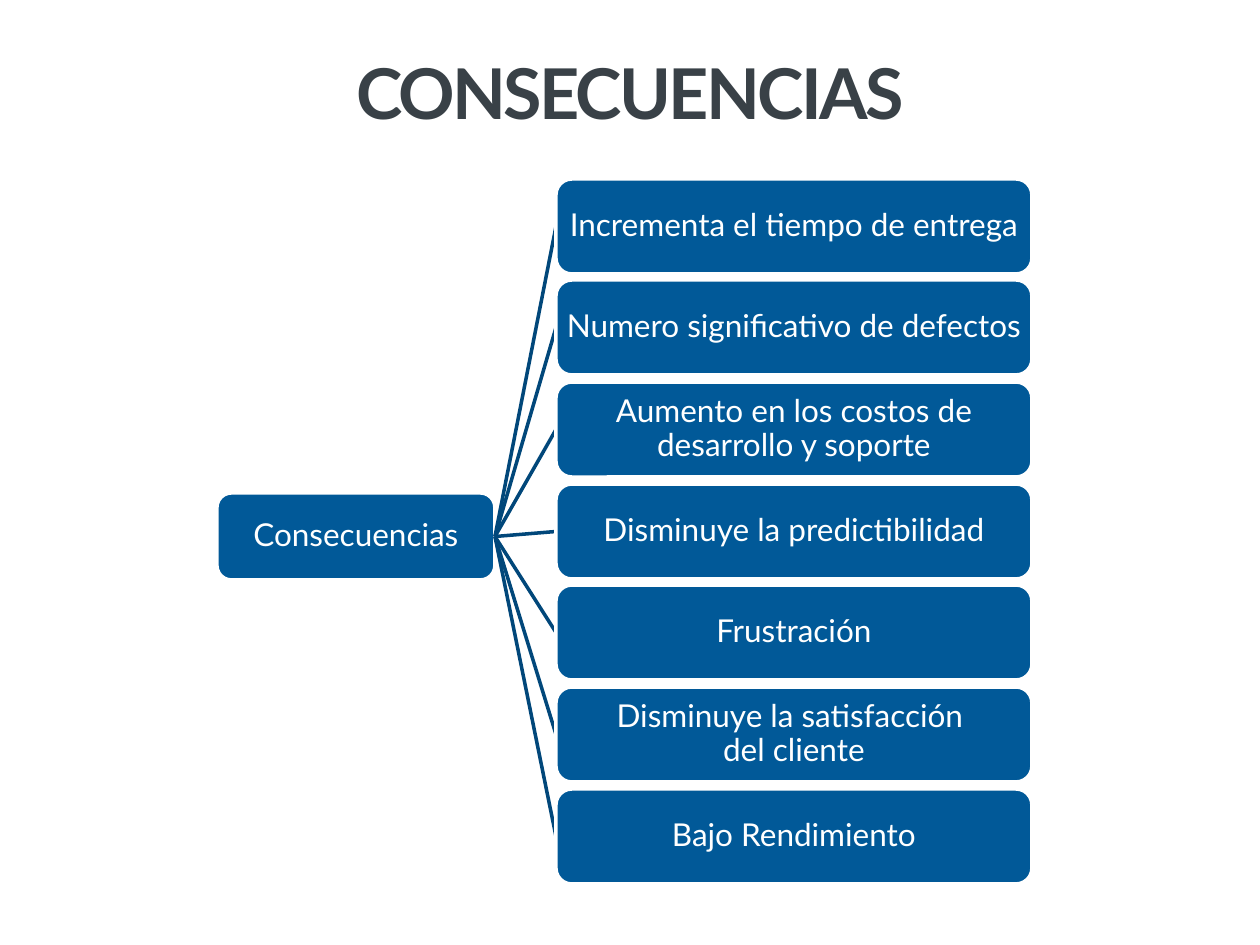
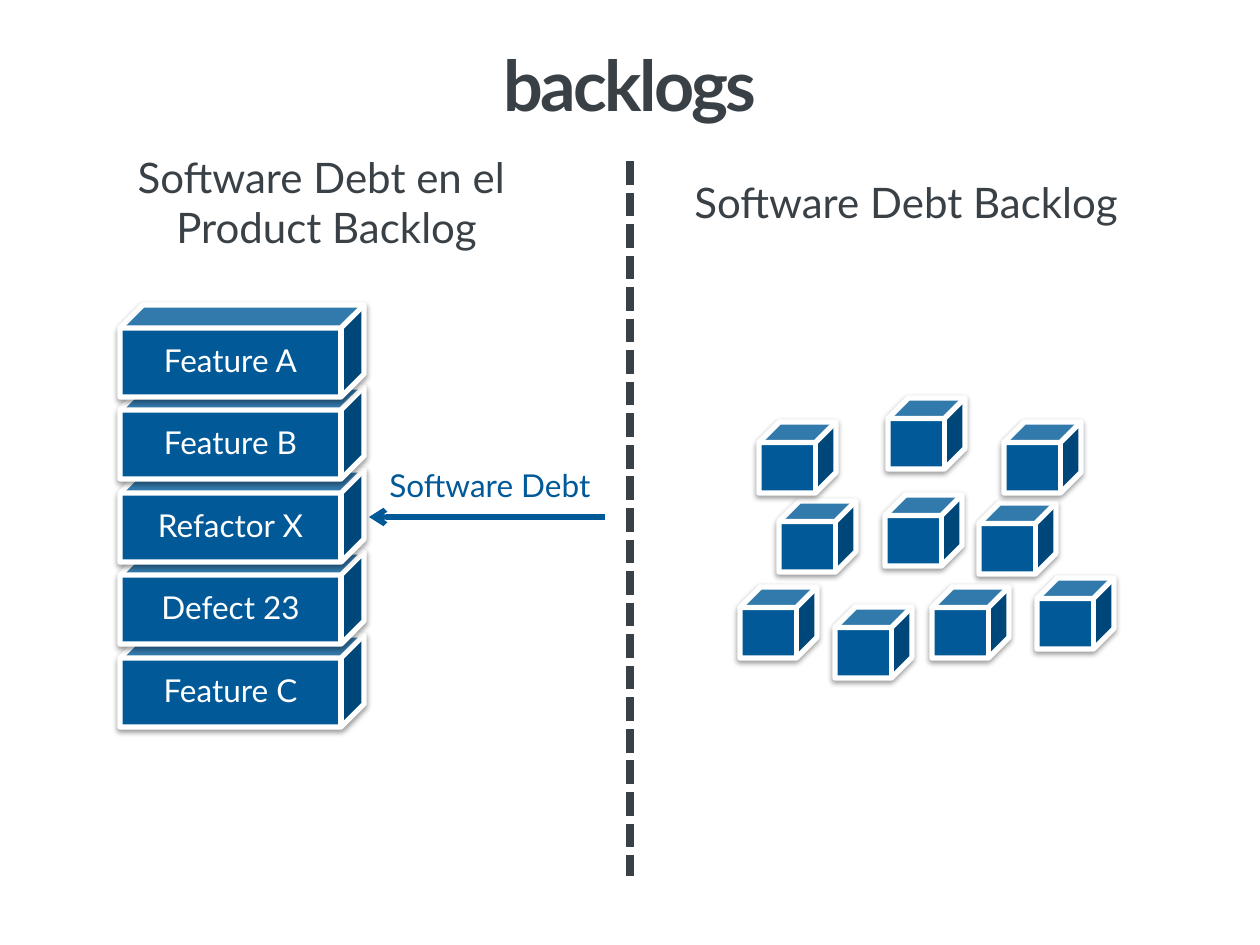
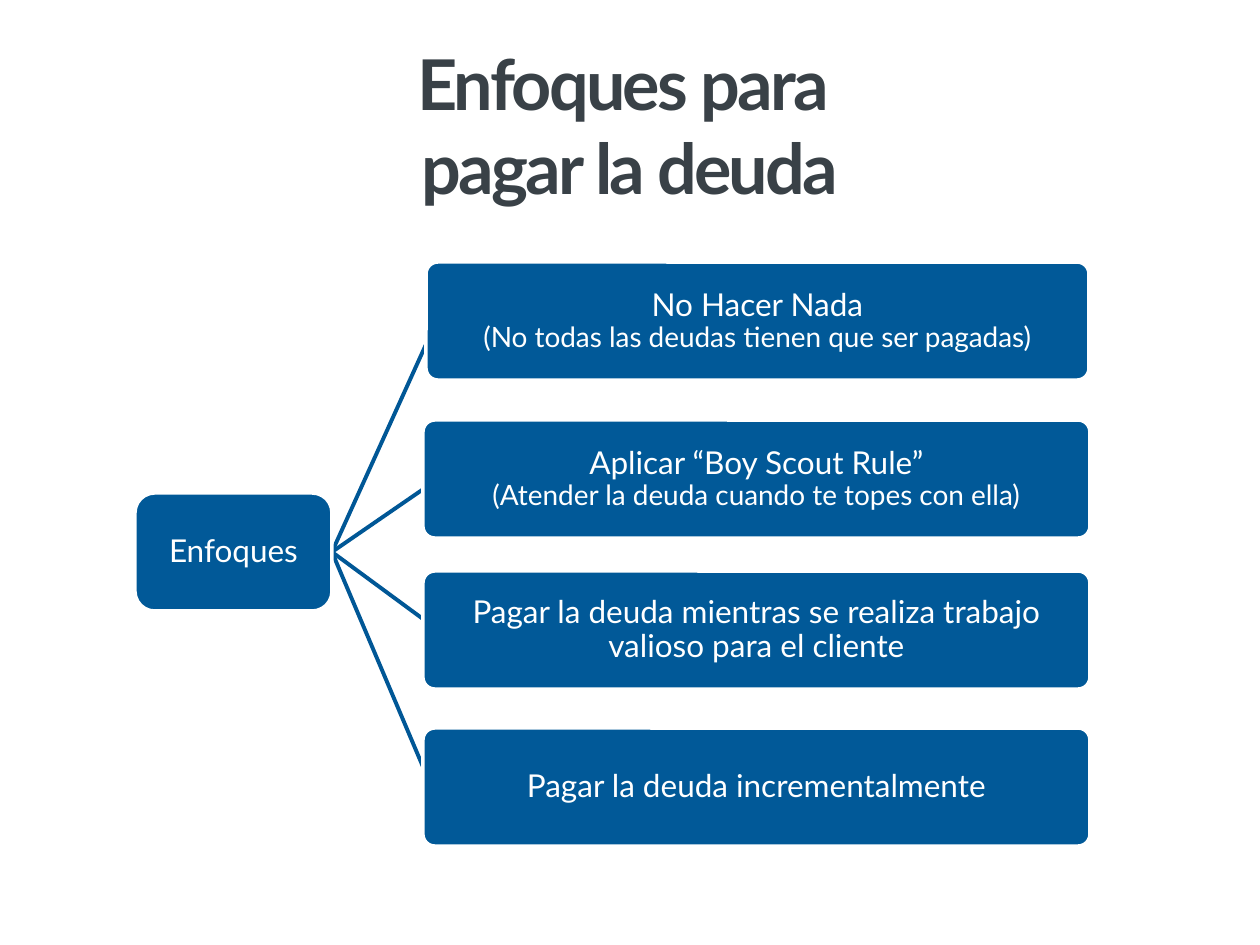
from lxml import etree
from pptx import Presentation
from pptx.dml.color import RGBColor
from pptx.enum.dml import MSO_LINE
from pptx.enum.shapes import MSO_CONNECTOR, MSO_SHAPE
from pptx.enum.text import MSO_ANCHOR, MSO_AUTO_SIZE, PP_ALIGN
from pptx.oxml.ns import qn
from pptx.util import Pt

ROUND, CUBE = MSO_SHAPE.ROUNDED_RECTANGLE, MSO_SHAPE.CUBE
STRAIGHT, DASH = MSO_CONNECTOR.STRAIGHT, MSO_LINE.SQUARE_DOT
LEFT, CENTER = PP_ALIGN.LEFT, PP_ALIGN.CENTER
MIDDLE, TOP = MSO_ANCHOR.MIDDLE, MSO_ANCHOR.TOP
FIXED = MSO_AUTO_SIZE.NONE

FONT = "Lato"
COLORS = {"ink": "394147", "blue": "015998", "deep": "01477A",
          "wire": "005796", "white": "FFFFFF", "black": "000000"}
TITLE_ONLY = 5
SIDE_LEFT, SIDE_RIGHT = 1, 3


def px(n):
    """Turn px (126 to the inch) into EMU."""
    return round(n * 914400 / 126)


def color(name):
    return RGBColor.from_string(COLORS[name])


def write(shape, text, size=18, sub=None, ink="white", bold=False, space=None,
          align=CENTER, anchor=MIDDLE, inset=None, lead=None):
    """Fill a shape with one paragraph; sub is the size of later lines."""
    frame = shape.text_frame
    frame.auto_size = FIXED
    frame.word_wrap = True
    frame.vertical_anchor = anchor
    if inset is not None:
        frame.margin_left = frame.margin_right = px(inset)
        frame.margin_top = frame.margin_bottom = px(inset)
    para = frame.paragraphs[0]
    para.alignment = align
    if lead:
        para.line_spacing = lead
    for i, line in enumerate(text.split("\n")):
        if i:
            para.add_line_break()
        run = para.add_run()
        run.text = line
        font = run.font
        font.name = FONT
        font.size = Pt(sub if i and sub else size)
        font.bold = bold
        font.color.rgb = color(ink)
        if space:
            run._r.get_or_add_rPr().set("spc", str(space))


class Deck:
    def __init__(self):
        self.show = Presentation()
        self.show.slide_width, self.show.slide_height = px(1260), px(945)
        self.slide = None

    def page(self, title, top, high):
        """Start a slide and set its title."""
        layout = self.show.slide_layouts[TITLE_ONLY]
        self.slide = self.show.slides.add_slide(layout)
        head = self.slide.shapes.title
        head.left, head.top = px(63), px(top)
        head.width, head.height = px(1134), px(high)
        write(head, title, size=40, ink="ink", bold=True, space=-150)

    def solid(self, kind, x, y, w, h, edge, adj=None):
        """Add a blue shape with a white edge."""
        shape = self.slide.shapes.add_shape(kind, px(x), px(y), px(w), px(h))
        shape.shadow.inherit = False
        shape.fill.solid()
        shape.fill.fore_color.rgb = color("blue")
        shape.line.color.rgb = color("white")
        shape.line.width = Pt(edge)
        if adj is not None:
            shape.adjustments[0] = adj
        return shape

    def box(self, text, x, y, w, h, adj=None, inset=1, sub=None):
        shape = self.solid(ROUND, x, y, w, h, 2, adj)
        write(shape, text, sub=sub, inset=inset, lead=0.9)
        return shape

    def cube(self, x, y, w, h, text=None, adj=None):
        shape = self.solid(CUBE, x, y, w, h, 3, adj)
        effects = shape._element.spPr.find(qn("a:effectLst"))
        shade = etree.SubElement(effects, qn("a:outerShdw"), blurRad=str(Pt(3.1)),
                                 dist=str(Pt(1.6)), dir="5400000", rotWithShape="0")
        tint = etree.SubElement(shade, qn("a:srgbClr"), val=COLORS["black"])
        etree.SubElement(tint, qn("a:alpha"), val="38000")
        if text:
            write(shape, text, inset=6, lead=0.9)

    def line(self, x1, y1, x2, y2, ink, width, dash=None, arrow=False):
        link = self.slide.shapes.add_connector(STRAIGHT, px(x1), px(y1), px(x2), px(y2))
        link.line.color.rgb = color(ink)
        link.line.width = Pt(width)
        if dash:
            link.line.dash_style = dash
        props = link._element.spPr
        if arrow:
            etree.SubElement(props.find(qn("a:ln")), qn("a:tailEnd"), type="arrow")
        etree.SubElement(props, qn("a:effectLst"))
        return link

    def label(self, text, x, y, w, h, **style):
        shape = self.slide.shapes.add_textbox(px(x), px(y), px(w), px(h))
        write(shape, text, anchor=TOP, **style)


def effects_page(deck):
    deck.page("CONSECUENCIAS", 39, 106)
    root = deck.box("Consecuencias", 217, 493, 278, 87)
    items = ["Incrementa el tiempo de entrega", "Numero significativo de defectos",
             "Aumento en los costos de desarrollo y soporte",
             "Disminuye la predictibilidad", "Frustración",
             "Disminuye la satisfacción \ndel cliente", "Bajo Rendimiento"]
    for i, text in enumerate(items):
        y = 179 + 610 * i // 6
        link = deck.line(495, 536, 556, y + 47, "deep", 2)
        leaf = deck.box(text, 556, y, 476, 95)
        link.begin_connect(root, SIDE_RIGHT)
        link.end_connect(leaf, SIDE_LEFT)


def backlog_page(deck):
    deck.page("backlogs", 42, 82)
    # Product backlog, stacked from the bottom up
    stack = ["Feature A", "Feature B", "Refactor X", "Defect 23", "Feature C"]
    for i, text in reversed(list(enumerate(stack))):
        deck.cube(120, 305 + 330 * i // 4, 244, 92, text)
    deck.line(605, 517, 369, 517, "blue", 3, arrow=True)
    deck.label("Software Debt", 377, 460, 243, 50, ink="blue", align=LEFT)
    # Loose debt items
    debts = [(740, 587), (779, 501), (759, 422), (835, 607), (932, 587),
             (1037, 578), (979, 503), (1004, 422), (888, 398), (885, 495)]
    for x, y in debts:
        deck.cube(x, y, 77, 71, adj=0.288)
    # Divider and column heads
    deck.line(630, 161, 630, 876, "ink", 4.5, dash=DASH)
    deck.label("Software Debt Backlog", 682, 170, 484, 63, size=24, ink="ink", align=LEFT)
    deck.label("Software Debt en el \nProduct Backlog", 110, 145, 433, 115,
               size=24, ink="ink")


def options_page(deck):
    deck.page("Enfoques para \npagar la deuda", 39, 171)
    # Lines lie behind the boxes
    ends = [(438, 318), (438, 479), (438, 630), (432, 788)]
    links = [deck.line(332, 552, x, y, "wire", 2.25) for x, y in ends]
    root = deck.box("Enfoques", 135, 493, 197, 118)
    for link in links:
        link.begin_connect(root, SIDE_RIGHT)
    items = [
        (426, 262, 663, "No Hacer Nada\n(No todas las deudas tienen que ser pagadas)"),
        (423, 420, 667, "Aplicar “Boy Scout Rule”\n"
                        "(Atender la deuda cuando te topes con ella)"),
        (423, 571, 667, "Pagar la deuda mientras se realiza trabajo valioso para el cliente"),
        (423, 728, 667, "Pagar la deuda incrementalmente"),
    ]
    for x, y, w, text in items:
        deck.box(text, x, y, w, 118, adj=0.1, inset=10, sub=16)


def main():
    deck = Deck()
    effects_page(deck)
    backlog_page(deck)
    options_page(deck)
    deck.show.save("out.pptx")


if __name__ == "__main__":
    main()
